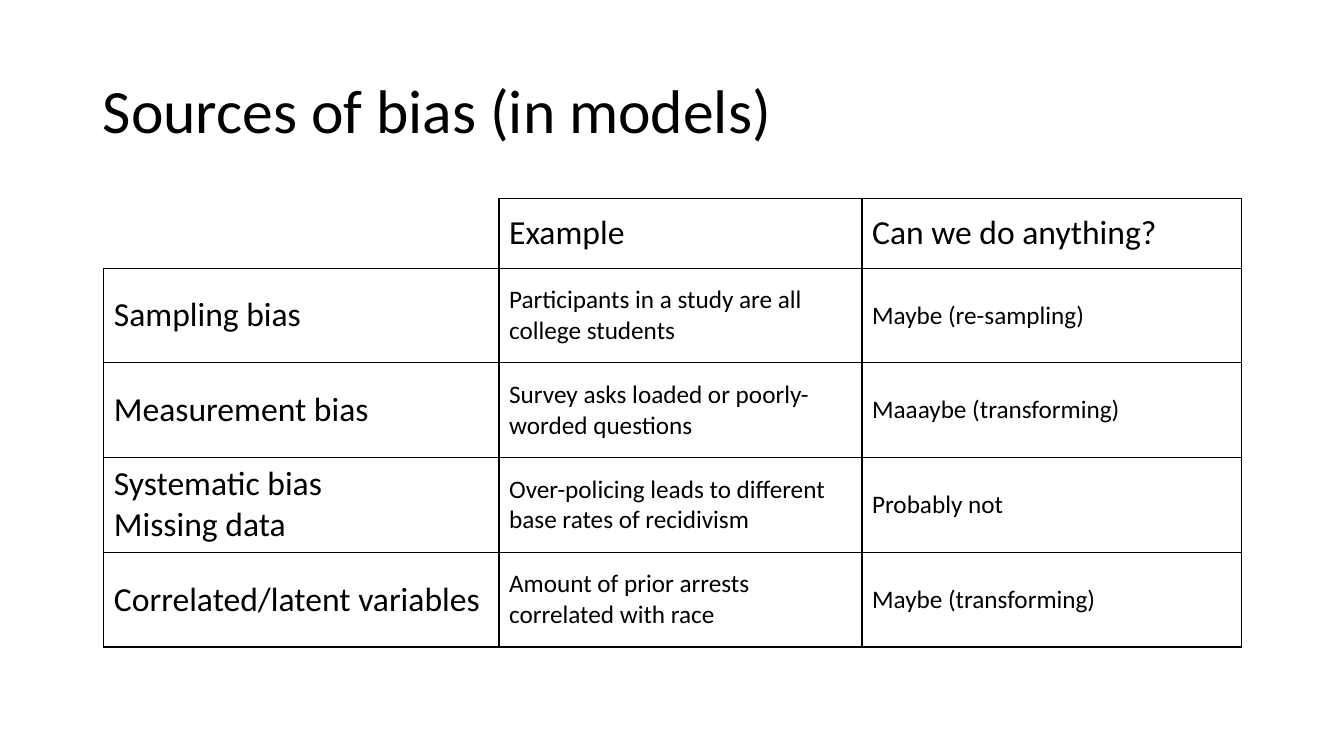
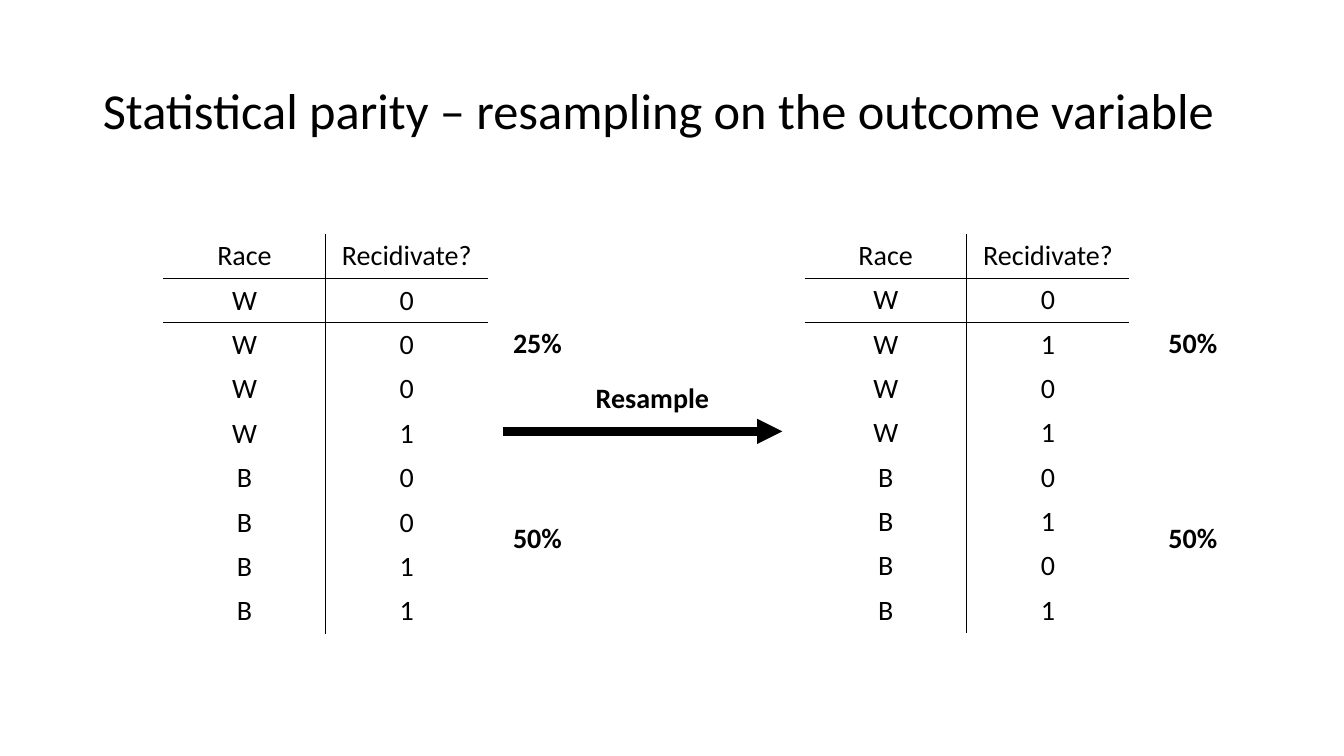
from dataclasses import dataclass
from typing import Callable

from lxml import etree
from pptx import Presentation
from pptx.dml.color import RGBColor
from pptx.enum.shapes import MSO_CONNECTOR
from pptx.enum.text import MSO_ANCHOR, MSO_AUTO_SIZE, PP_ALIGN
from pptx.oxml.ns import qn
from pptx.slide import Slide
from pptx.table import _Cell
from pptx.text.text import TextFrame
from pptx.util import Inches, Pt

LEFT = PP_ALIGN.LEFT
CENTER = PP_ALIGN.CENTER
TOP = MSO_ANCHOR.TOP
MIDDLE = MSO_ANCHOR.MIDDLE
FIT_TEXT = MSO_AUTO_SIZE.SHAPE_TO_FIT_TEXT
STRAIGHT = MSO_CONNECTOR.STRAIGHT

BLACK = RGBColor(0x00, 0x00, 0x00)
WHITE = RGBColor(0xFF, 0xFF, 0xFF)
FONT = "Calibri"
TITLE_ONLY = 5

BIAS_ROWS = [
    ("", "Example", "Can we do anything?"),
    ("Sampling bias", "Participants in a study are all college students", "Maybe (re-sampling)"),
    ("Measurement bias", "Survey asks loaded or poorly-worded questions", "Maaaybe (transforming)"),
    (
        "Systematic bias\nMissing data",
        "Over-policing leads to different base rates of recidivism",
        "Probably not",
    ),
    (
        "Correlated/latent variables",
        "Amount of prior arrests correlated with race",
        "Maybe (transforming)",
    ),
]
RACES = "WWWWBBBB"
RATE_TOPS = (3.18, 5.11)


@dataclass(frozen=True)
class Grid:
    left: float
    top: float
    widths: list[float]
    heights: list[float]
    rows: list[tuple[str, ...]]
    edges: Callable[[int, int], str]
    size: Callable[[int, int], int]
    align: PP_ALIGN
    anchor: MSO_ANCHOR


@dataclass(frozen=True)
class Sample:
    table_left: float
    rate_left: float
    outcomes: str
    rates: tuple[str, str]


SAMPLES = [
    Sample(1.62, 4.99, "00010011", ("25%", "50%")),
    Sample(7.98, 11.49, "01010101", ("50%", "50%")),
]


def style_text(frame: TextFrame, size: int, align: PP_ALIGN = LEFT, bold: bool = False) -> None:
    for paragraph in frame.paragraphs:
        paragraph.alignment = align
        paragraph.font.name = FONT
        paragraph.font.size = Pt(size)
        paragraph.font.bold = bold
        paragraph.font.color.rgb = BLACK


def add_titled_slide(deck: Presentation, title: str, size: int) -> Slide:
    slide = deck.slides.add_slide(deck.slide_layouts[TITLE_ONLY])
    heading = slide.shapes.title
    heading.left, heading.top = Inches(0.92), Inches(0.4)
    heading.width, heading.height = Inches(11.5), Inches(1.45)
    frame = heading.text_frame
    frame.text = title
    frame.word_wrap = True
    frame.vertical_anchor = MIDDLE
    style_text(frame, size)
    frame.paragraphs[0].line_spacing = 0.9
    return slide


def set_borders(cell: _Cell, edges: str) -> None:
    properties = cell._tc.get_or_add_tcPr()
    for position, side in enumerate("LRTB"):
        border = etree.Element(qn(f"a:ln{side}"), w=str(Pt(1)))
        if side in edges:
            fill = etree.SubElement(border, qn("a:solidFill"))
            etree.SubElement(fill, qn("a:srgbClr"), val=str(BLACK))
        else:
            etree.SubElement(border, qn("a:noFill"))
        properties.insert(position, border)


def add_grid(slide: Slide, grid: Grid) -> None:
    table = slide.shapes.add_table(
        len(grid.heights), len(grid.widths),
        Inches(grid.left), Inches(grid.top),
        Inches(sum(grid.widths)), Inches(sum(grid.heights)),
    ).table
    table.first_row = False
    table.horz_banding = False
    for column, width in zip(table.columns, grid.widths):
        column.width = Inches(width)
    for row, height in zip(table.rows, grid.heights):
        row.height = Inches(height)
    for r, texts in enumerate(grid.rows):
        for c, text in enumerate(texts):
            cell = table.cell(r, c)
            cell.text = text
            cell.vertical_anchor = grid.anchor
            cell.fill.solid()
            cell.fill.fore_color.rgb = WHITE
            style_text(cell.text_frame, grid.size(r, c), grid.align)
            set_borders(cell, grid.edges(r, c))


def add_label(slide: Slide, text: str, left: float, top: float, width: float) -> None:
    label = slide.shapes.add_textbox(Inches(left), Inches(top), Inches(width), Inches(0.44))
    frame = label.text_frame
    frame.word_wrap = False
    frame.auto_size = FIT_TEXT
    frame.text = text
    style_text(frame, 20, bold=True)


def add_arrow(slide: Slide, start: float, end: float, y: float) -> None:
    arrow = slide.shapes.add_connector(STRAIGHT, Inches(start), Inches(y), Inches(end), Inches(y))
    arrow.line.color.rgb = BLACK
    arrow.line.width = Pt(6)
    etree.SubElement(arrow.line._get_or_add_ln(), qn("a:tailEnd"), type="triangle")
    etree.SubElement(arrow._element.spPr, qn("a:effectLst"))


def bias_edges(row: int, column: int) -> str:
    return "RB" if row == column == 0 else "LRTB"


def bias_size(row: int, column: int) -> int:
    return 24 if row == 0 or column == 0 else 18


def sample_edges(row: int, column: int) -> str:
    divider = "R" if column == 0 else "L"
    above = "T" if row in (1, 2) else ""
    below = "B" if row in (0, 1) else ""
    return divider + above + below


def sample_size(row: int, column: int) -> int:
    return 20


def add_sample(slide: Slide, sample: Sample) -> None:
    rows = [("Race", "Recidivate?"), *zip(RACES, sample.outcomes)]
    add_grid(slide, Grid(
        sample.table_left, 2.32, [1.61] * 2, [0.44] * len(rows), rows,
        sample_edges, sample_size, CENTER, TOP,
    ))
    for rate, top in zip(sample.rates, RATE_TOPS):
        add_label(slide, rate, sample.rate_left, top, 0.69)


def build_bias_sources(deck: Presentation) -> None:
    slide = add_titled_slide(deck, "Sources of bias (in models)", 44)
    add_grid(slide, Grid(
        1.03, 1.97, [3.92, 3.6, 3.76], [0.69] + [0.94] * 4, BIAS_ROWS,
        bias_edges, bias_size, LEFT, MIDDLE,
    ))


def build_statistical_parity(deck: Presentation) -> None:
    slide = add_titled_slide(deck, "Statistical parity – resampling on the outcome variable", 36)
    for sample in SAMPLES:
        add_sample(slide, sample)
    add_arrow(slide, 4.99, 7.76, 4.28)
    add_label(slide, "Resample", 5.81, 3.73, 1.34)


def main() -> None:
    deck = Presentation()
    deck.slide_width, deck.slide_height = Inches(13.33), Inches(7.5)
    build_bias_sources(deck)
    build_statistical_parity(deck)
    deck.save("out.pptx")


if __name__ == "__main__":
    main()
